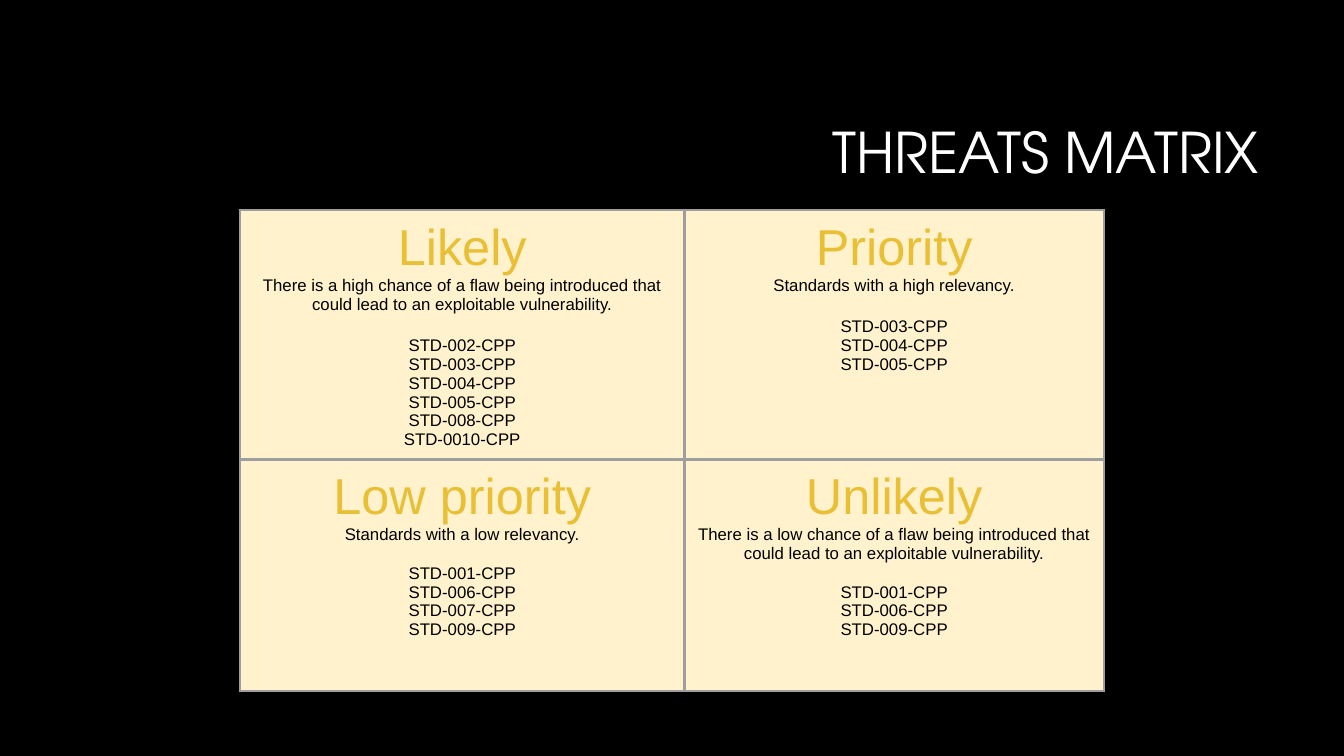
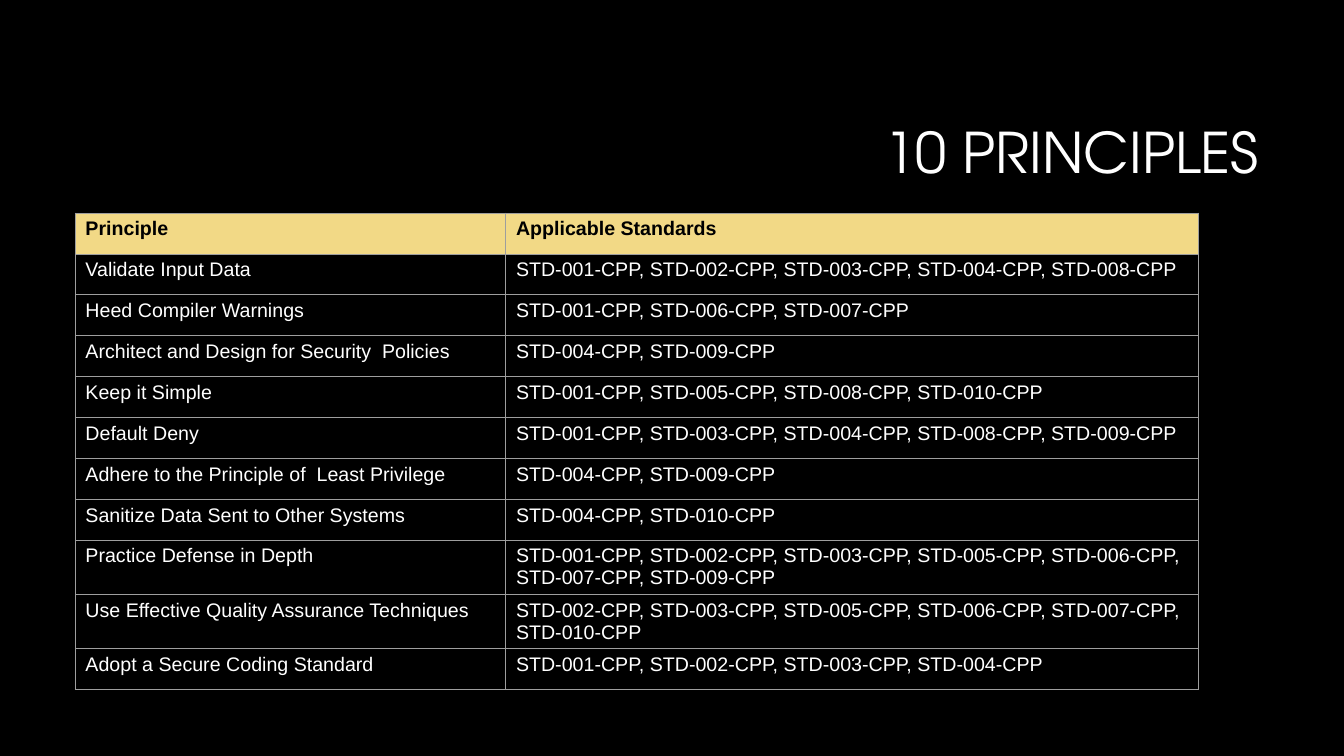
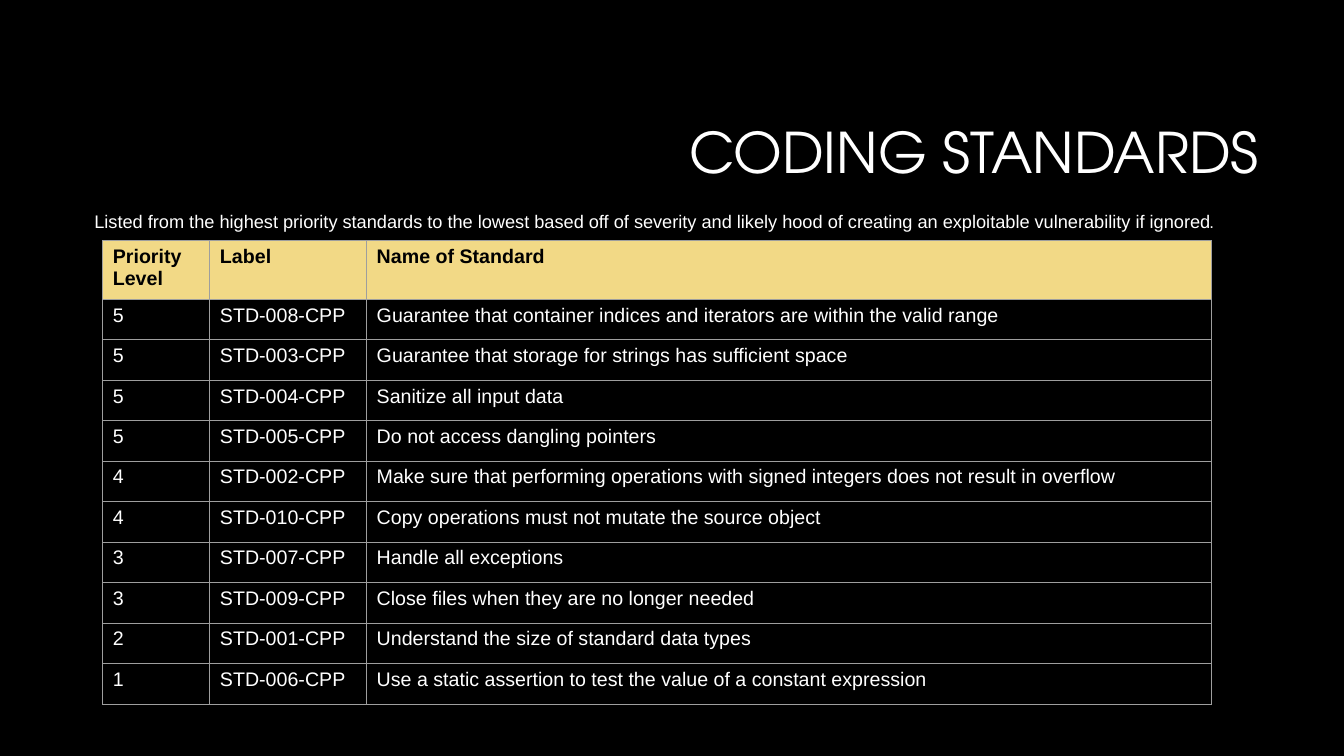
from dataclasses import dataclass

from lxml import etree
from pptx import Presentation
from pptx.dml.color import RGBColor
from pptx.enum.text import MSO_ANCHOR, MSO_AUTO_SIZE, PP_ALIGN
from pptx.oxml.ns import qn
from pptx.util import Cm, Pt

LEFT, CENTER, RIGHT = PP_ALIGN.LEFT, PP_ALIGN.CENTER, PP_ALIGN.RIGHT
MIDDLE = MSO_ANCHOR.MIDDLE
NO_AUTOFIT = MSO_AUTO_SIZE.NONE
TITLE_ONLY = 5


@dataclass(frozen=True)
class Theme:
    background: str = "000000"
    light: str = "FFFFFF"
    dark: str = "000000"
    gold: str = "E9BF35"
    header: str = "F2D986"
    cream: str = "FFF2CC"
    border: str = "9E9E9E"
    title_font: str = "TeX Gyre Adventor"
    body_font: str = "Arial"
    title_size: float = 40
    heading_size: float = 36
    table_size: float = 14
    caption_size: float = 13
    small_size: float = 12
    thick: float = 2.25
    thin: float = 0.75


class Deck:
    def __init__(self, theme):
        self.theme = theme
        self.prs = Presentation()
        self.prs.slide_width, self.prs.slide_height = Cm(33.87), Cm(19.05)
        fill = self.prs.slide_master.background.fill
        fill.solid()
        fill.fore_color.rgb = RGBColor.from_string(theme.background)
        self.slide = None

    def style(self, p, size, color, align=LEFT, bold=False, font=None):
        p.alignment = align
        p.font.name = font or self.theme.body_font
        p.font.size = Pt(size)
        p.font.bold = bold
        p.font.color.rgb = RGBColor.from_string(color)

    def add_slide(self, title, left=8.05):
        t = self.theme
        self.slide = self.prs.slides.add_slide(self.prs.slide_layouts[TITLE_ONLY])
        sp = self.slide.shapes.title
        right_edge = 31.98
        sp.left, sp.top = Cm(left), Cm(2.13)
        sp.width, sp.height = Cm(right_edge - left), Cm(3.58)
        tf = sp.text_frame
        tf.text = title
        tf.vertical_anchor = MIDDLE
        tf.auto_size = NO_AUTOFIT
        p = tf.paragraphs[0]
        p.line_spacing = 0.9
        self.style(p, t.title_size, t.light, RIGHT, font=t.title_font)

    def caption(self, text, end, left, top, width, height):
        """Add a line of text whose closing mark is set smaller."""
        t = self.theme
        tf = self.slide.shapes.add_textbox(
            Cm(left), Cm(top), Cm(width), Cm(height)).text_frame
        tf.word_wrap = True
        p = tf.paragraphs[0]
        p.add_run().text = text
        r = p.add_run()
        r.text = end
        self.style(p, t.caption_size, t.light)
        r.font.size = Pt(t.small_size)

    def grid(self, left, top, widths, heights):
        """Add a table without banding."""
        frame = self.slide.shapes.add_table(
            len(heights), len(widths), Cm(left), Cm(top),
            Cm(sum(widths)), Cm(sum(heights)))
        table = frame.table
        table.first_row = table.horz_banding = False
        for column, width in zip(table.columns, widths):
            column.width = Cm(width)
        for row, height in zip(table.rows, heights):
            row.height = Cm(height)
        return table

    def format_cell(self, cell, line_width, fill=None):
        tc_pr = cell._tc.get_or_add_tcPr()
        for side in ("a:lnL", "a:lnR", "a:lnT", "a:lnB"):
            ln = etree.SubElement(tc_pr, qn(side), w=str(Pt(line_width)))
            solid = etree.SubElement(ln, qn("a:solidFill"))
            etree.SubElement(solid, qn("a:srgbClr"), val=self.theme.border)
        if fill:
            cell.fill.solid()
            cell.fill.fore_color.rgb = RGBColor.from_string(fill)
        else:
            cell.fill.background()

    def list_table(self, rows, left, top, widths, header_height, row_height):
        """Add a table with a gold header row and clear body rows."""
        t = self.theme
        heights = [header_height] + [row_height] * (len(rows) - 1)
        table = self.grid(left, top, widths, heights)
        for i, row in enumerate(rows):
            is_header = i == 0
            for j, text in enumerate(row):
                cell = table.cell(i, j)
                cell.text = text
                self.format_cell(cell, t.thin, t.header if is_header else None)
                self.style(cell.text_frame.paragraphs[0], t.table_size,
                           t.dark if is_header else t.light, bold=is_header)

    def matrix(self, quadrants, left, top, widths, heights, gaps):
        """Add a table of quadrants: heading, description and spaced-off list."""
        t = self.theme
        table = self.grid(left, top, widths, heights)
        for i, (row, gap) in enumerate(zip(quadrants, gaps)):
            for j, (heading, description, labels) in enumerate(row):
                cell = table.cell(i, j)
                cell.margin_left = cell.margin_right = Cm(0.25)
                cell.margin_top = cell.margin_bottom = Cm(0.25)
                self.format_cell(cell, t.thick, t.cream)
                tf = cell.text_frame
                tf.text = "\n".join([heading, description, *labels])
                for p in tf.paragraphs:
                    self.style(p, t.small_size, t.dark, CENTER)
                self.style(tf.paragraphs[0], t.heading_size, t.gold, CENTER)
                tf.paragraphs[2].space_before = Pt(gap)


def standards(numbers):
    """Turn '001 002' into the labels of those standards."""
    return [f"STD-{number}-CPP" for number in numbers.split()]


CHANCE = ("There is a {} chance of a flaw being introduced that "
          "could lead to an exploitable vulnerability.")
RELEVANCY = "Standards with a {} relevancy."

THREATS = [
    [("Likely", CHANCE.format("high"), standards("002 003 004 005 008 0010")),
     ("Priority", RELEVANCY.format("high"), standards("003 004 005"))],
    [("Low priority", RELEVANCY.format("low"), standards("001 006 007 009")),
     ("Unlikely", CHANCE.format("low"), standards("001 006 009"))],
]

PRINCIPLES = [
    ("Validate Input Data", "001 002 003 004 008"),
    ("Heed Compiler Warnings", "001 006 007"),
    ("Architect and Design for Security  Policies", "004 009"),
    ("Keep it Simple", "001 005 008 010"),
    ("Default Deny", "001 003 004 008 009"),
    ("Adhere to the Principle of  Least Privilege", "004 009"),
    ("Sanitize Data Sent to Other Systems", "004 010"),
    ("Practice Defense in Depth", "001 002 003 005 006 007 009"),
    ("Use Effective Quality Assurance Techniques", "002 003 005 006 007 010"),
    ("Adopt a Secure Coding Standard", "001 002 003 004"),
]

CODING_STANDARDS = [
    ("5", "008", "Guarantee that container indices and iterators are within the valid range"),
    ("5", "003", "Guarantee that storage for strings has sufficient space"),
    ("5", "004", "Sanitize all input data"),
    ("5", "005", "Do not access dangling pointers"),
    ("4", "002", "Make sure that performing operations with signed integers "
                 "does not result in overflow"),
    ("4", "010", "Copy operations must not mutate the source object"),
    ("3", "007", "Handle all exceptions"),
    ("3", "009", "Close files when they are no longer needed"),
    ("2", "001", "Understand the size of standard data types"),
    ("1", "006", "Use a static assertion to test the value of a constant expression"),
]


def main():
    deck = Deck(Theme())

    deck.add_slide("THREATS MATRIX")
    deck.matrix(THREATS, 6.05, 5.29, widths=[11.2, 10.57],
                heights=[6.28, 5.84], gaps=[16, 14])

    deck.add_slide("10 PRINCIPLES")
    rows = [("Principle", "Applicable Standards")]
    rows += [(name, ", ".join(standards(numbers))) for name, numbers in PRINCIPLES]
    deck.list_table(rows, 1.9, 5.37, widths=[10.85, 17.45],
                    header_height=1.03, row_height=1.03)

    deck.add_slide("CODING STANDARDS", left=15.7)
    rows = [("Priority Level", "Label", "Name of Standard")]
    rows += [(level, *standards(number), name)
             for level, number, name in CODING_STANDARDS]
    deck.list_table(rows, 2.59, 6.07, widths=[2.7, 3.95, 21.28],
                    header_height=1.47, row_height=1.02)
    deck.caption("Listed from the highest priority standards to the lowest based off of "
                 "severity and likely hood of creating an exploitable vulnerability if ignored",
                 ".", 2.13, 5.18, 28.98, 0.81)

    deck.prs.save("out.pptx")


if __name__ == "__main__":
    main()
